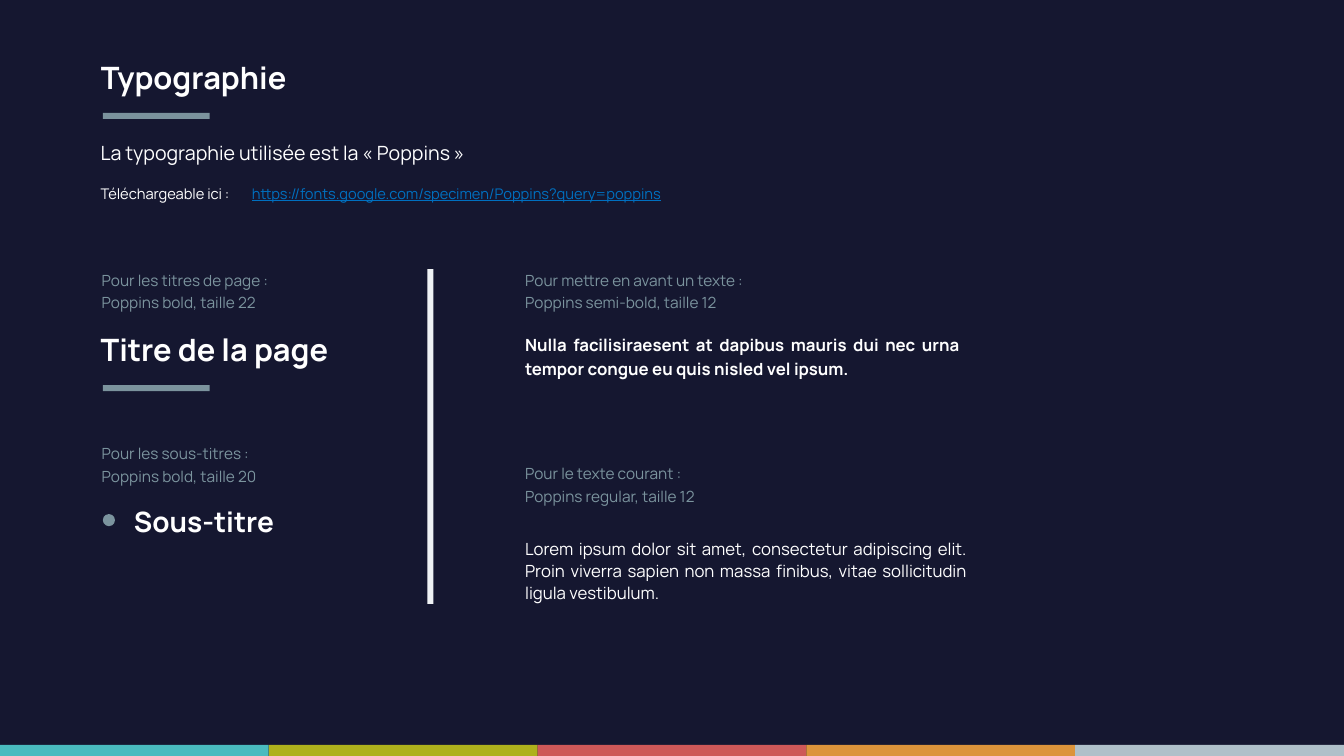
import pptx
import pptx.util
import pptx.dml.color
import pptx.enum.shapes
import pptx.enum.text

Inches = pptx.util.Inches
Pt = pptx.util.Pt
RGBColor = pptx.dml.color.RGBColor
Kind = pptx.enum.shapes.MSO_SHAPE
Align = pptx.enum.text.PP_ALIGN

NAVY = RGBColor(0x15, 0x17, 0x30)
WHITE = RGBColor(0xFF, 0xFF, 0xFF)
SLATE = RGBColor(0x7B, 0x93, 0x9D)
GREY = RGBColor(0x7B, 0x94, 0x9E)
PALE = RGBColor(0xEF, 0xF2, 0xF4)
BLUE = RGBColor(0x00, 0x70, 0xC0)
TEAL = RGBColor(0x4A, 0xBB, 0xBF)
OLIVE = RGBColor(0xAE, 0xB1, 0x1C)
RED = RGBColor(0xCE, 0x58, 0x58)
ORANGE = RGBColor(0xDC, 0x94, 0x3B)
STEEL = RGBColor(0xAF, 0xC0, 0xC9)

deck = pptx.Presentation()
deck.slide_width = Inches(13.33)
deck.slide_height = Inches(7.5)
slide = deck.slides.add_slide(deck.slide_layouts[5])
slide.background.fill.solid()
slide.background.fill.fore_color.rgb = NAVY


def draw(kind, left, top, width, height, color):
    shape = slide.shapes.add_shape(
        kind, Inches(left), Inches(top), Inches(width), Inches(height))
    shape.shadow.inherit = False
    shape.fill.solid()
    shape.fill.fore_color.rgb = color
    shape.line.fill.background()


def write(box, place, lines, size, color=WHITE, bold=False,
          align=Align.LEFT, space=1.0, wrap=True):
    box.left, box.top, box.width, box.height = [Inches(n) for n in place]
    frame = box.text_frame
    frame.word_wrap = wrap
    frame.auto_size = pptx.enum.text.MSO_AUTO_SIZE.NONE
    frame.vertical_anchor = pptx.enum.text.MSO_ANCHOR.TOP
    for i, line in enumerate(lines):
        para = frame.add_paragraph() if i else frame.paragraphs[0]
        para.alignment = align
        para.line_spacing = space
        run = para.add_run()
        run.text = line
        run.font.name = "Manrope"
        run.font.size = Pt(size)
        run.font.bold = bold
        run.font.color.rgb = color
        run.font.underline = color == BLUE


for i, color in enumerate([TEAL, OLIVE, RED, ORANGE, STEEL]):
    draw(Kind.RECTANGLE, i * 13.33 / 5, 7.39, 13.33 / 5, 0.11, color)
for top in (1.12, 3.82):
    draw(Kind.RECTANGLE, 1.02, top, 1.06, 0.06, SLATE)
draw(Kind.RECTANGLE, 4.24, 2.67, 0.06, 3.32, PALE)
draw(Kind.OVAL, 1.02, 5.1, 0.12, 0.12, GREY)

write(slide.shapes.title, (0.9, 0.53, 2.3, 0.47), ["Typographie"], 22, bold=True)

texts = [
    ((0.9, 1.35, 4.13, 0.34), "La typographie utilisée est la « Poppins »", 14,
     {"wrap": False}),
    ((0.9, 1.78, 1.63, 0.28), "Téléchargeable ici :", 10.5, {"wrap": False}),
    ((2.4, 1.78, 4.76, 0.29),
     "https://fonts.google.com/specimen/Poppins?query=poppins", 10.5,
     {"color": BLUE}),
    ((0.9, 3.23, 2.81, 0.47), "Titre de la page", 22, {"bold": True}),
    ((1.23, 4.96, 1.67, 0.44), "Sous-titre", 20, {"bold": True}),
    ((5.11, 3.23, 4.51, 0.58),
     "Nulla facilisiraesent at dapibus mauris dui nec urna "
     "tempor congue eu quis nisled vel ipsum.", 12,
     {"bold": True, "align": Align.JUSTIFY, "space": 1.2}),
    ((5.11, 5.27, 4.58, 0.77),
     "Lorem ipsum dolor sit amet, consectetur adipiscing elit. "
     "Proin viverra sapien non massa finibus, vitae sollicitudin "
     "ligula vestibulum.", 12,
     {"align": Align.JUSTIFY, "space": Pt(16)}),
]
for place, line, size, style in texts:
    write(slide.shapes.add_textbox(0, 0, 0, 0), place, [line], size, **style)

notes = [
    (0.91, 2.6, 4.58, "Pour les titres de page :", "Poppins bold, taille 22"),
    (0.91, 4.32, 4.58, "Pour les sous-titres :", "Poppins bold, taille 20"),
    (5.11, 2.6, 5.39, "Pour mettre en avant un texte :",
     "Poppins semi-bold, taille 12"),
    (5.11, 4.52, 4.7, "Pour le texte courant :", "Poppins regular, taille 12"),
]
for left, top, width, *lines in notes:
    write(slide.shapes.add_textbox(0, 0, 0, 0), (left, top, width, 0.54),
          lines, 11, GREY, align=Align.JUSTIFY, space=Pt(16))

deck.save("out.pptx")
